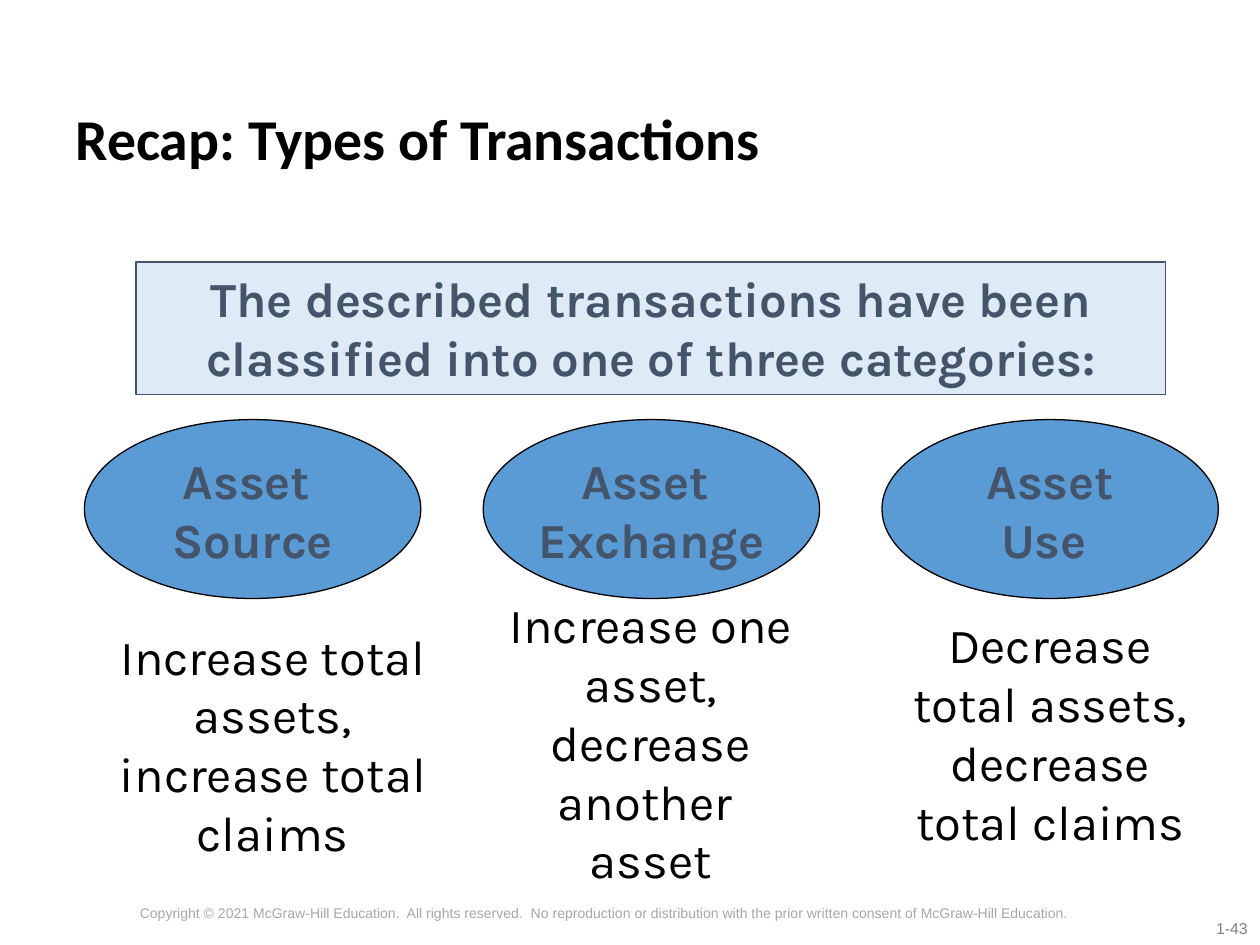
from pptx import Presentation
from pptx import util as u
from pptx.dml.color import RGBColor
from pptx.enum import shapes, text

PX = 9144
BLACK = RGBColor(0, 0, 0)
SLATE = RGBColor(0x44, 0x54, 0x6A)
PALE = RGBColor(0xDE, 0xEB, 0xF7)
BLUE = RGBColor(0x5B, 0x9B, 0xD5)
GRAY = RGBColor(0x80, 0x80, 0x80)
LIGHT = RGBColor(0xA6, 0xA6, 0xA6)

MID, LEFT, RIGHT = text.PP_ALIGN.CENTER, text.PP_ALIGN.LEFT, text.PP_ALIGN.RIGHT
TOP, HALF = text.MSO_ANCHOR.TOP, text.MSO_ANCHOR.MIDDLE

TITLE = dict(name="Calibri", size=u.Pt(33), bold=True)
BODY = dict(name="Karla", size=u.Pt(28), bold=False)
HEAD = dict(BODY, bold=True)
PAGE = dict(name="Arial", size=u.Pt(9))
LEGAL = dict(name="Arial", size=u.Pt(8))

TYPES = [
    ("Asset \vSource", "Increase total assets, increase total claims", 83, 492, 199),
    ("Asset \vExchange", "Increase one asset, decrease another \vasset", 383, 467, 244),
    ("Asset\vUse ", "Decrease total assets, decrease total claims", 700, 483, 199),
]
WIDE = 267
START, STEP = 67, 316.5


def emu(box):
    return [u.Emu(round(n * PX)) for n in box]


def write(shape, words, style, color, align=MID, anchor=TOP, wrap=True):
    frame = shape.text_frame
    frame.word_wrap = wrap
    frame.vertical_anchor = anchor
    para = frame.paragraphs[0]
    para.text = words
    para.alignment = align
    for run in para.runs:
        for key, val in style.items():
            setattr(run.font, key, val)
        run.font.color.rgb = color
    return para


def label(slide, box, *args, **opts):
    return write(slide.shapes.add_textbox(*emu(box)), *args, **opts)


def panel(slide, kind, box, fill, edge, words, **opts):
    shape = slide.shapes.add_shape(kind, *emu(box))
    shape.shadow.inherit = False
    shape.fill.solid()
    shape.fill.fore_color.rgb = fill
    shape.line.color.rgb = edge
    shape.line.width = u.Pt(0.75)
    write(shape, words, HEAD, SLATE, **opts)


def main():
    deck = Presentation()
    deck.slide_width, deck.slide_height = emu((1000, 750))
    slide = deck.slides.add_slide(deck.slide_layouts[6])

    label(slide, (879, 724, 121, 25), "1-43", PAGE, GRAY, align=RIGHT)
    label(slide, (1, 713, 958, 37),
          "Copyright © 2021 McGraw-Hill Education.  All rights reserved.  "
          "No reproduction or distribution with the prior written consent "
          "of McGraw-Hill Education.", LEGAL, LIGHT)
    title = label(slide, (50, 40, 881, 145), "Recap: Types of Transactions",
                  TITLE, BLACK, align=LEFT, anchor=HALF)
    title.line_spacing = 0.9

    panel(slide, shapes.MSO_SHAPE.RECTANGLE, (108, 208, 817, 105), PALE, SLATE,
          "The described transactions have been classified into one of "
          "three categories:")
    for i, (name, effect, left, top, high) in enumerate(TYPES):
        panel(slide, shapes.MSO_SHAPE.OVAL, (START + i * STEP, 333, WIDE, 142),
              BLUE, BLACK, name, anchor=HALF, wrap=False)
        label(slide, (left, top, WIDE, high), effect, BODY, BLACK)

    deck.save("out.pptx")


if __name__ == "__main__":
    main()
